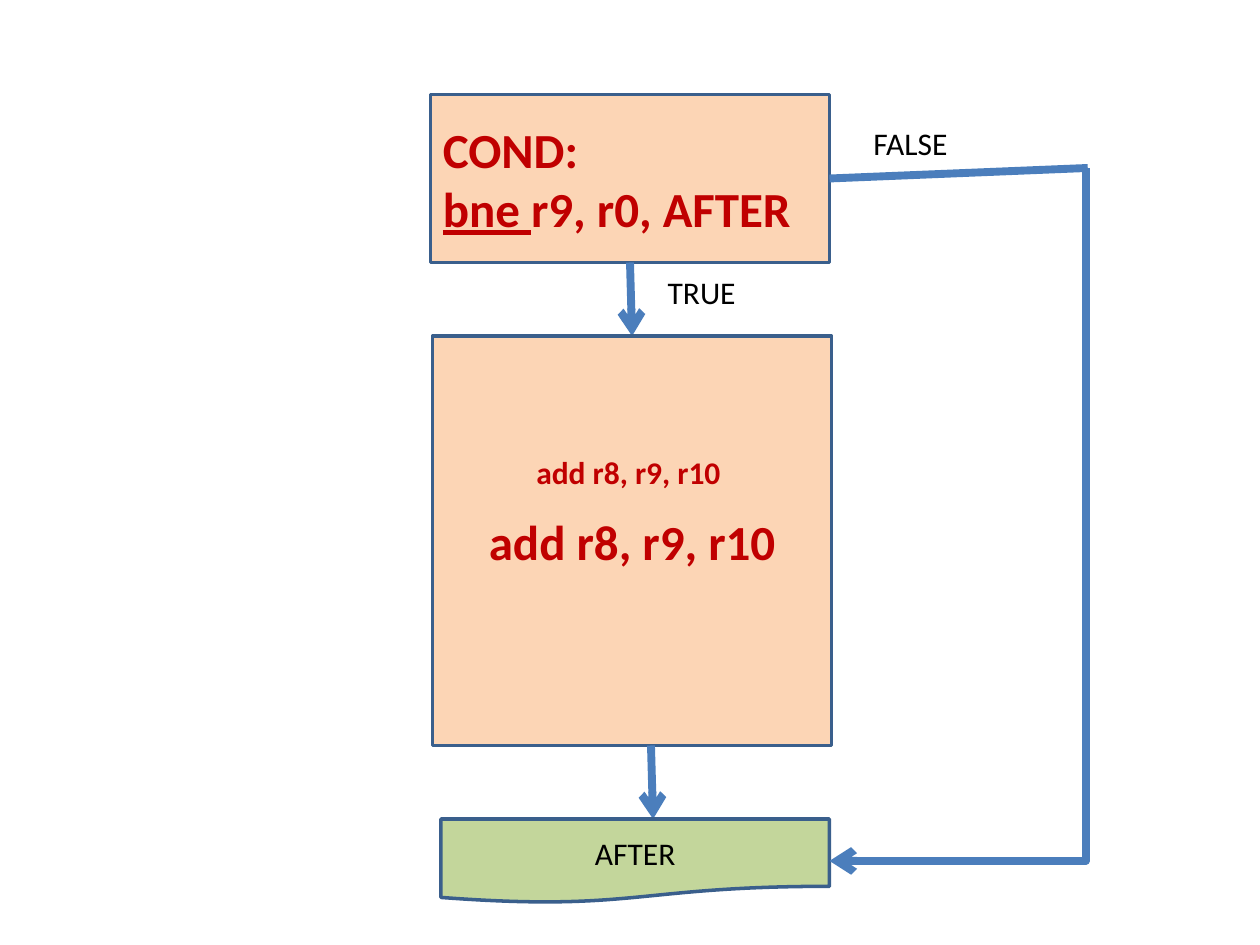
from dataclasses import dataclass

from lxml.etree import SubElement
from pptx import Presentation
from pptx.dml.color import RGBColor
from pptx.enum.shapes import MSO_CONNECTOR, MSO_SHAPE
from pptx.enum.text import MSO_ANCHOR, MSO_AUTO_SIZE, PP_ALIGN
from pptx.oxml.ns import qn
from pptx.util import Pt

EMU_PER_PX = 914400 // 120


@dataclass(frozen=True)
class Theme:
    font: str = "Calibri"
    code_size: int = 28
    label_size: int = 18
    code: str = "C00000"
    label: str = "000000"
    block: str = "FCD5B5"
    target: str = "C3D69B"
    border: str = "3A5F8C"
    flow: str = "4B7EBC"
    border_width: float = 2
    flow_width: float = 4.5


THEME = Theme()


def px(*lengths):
    return [length * EMU_PER_PX for length in lengths]


def write(frame, lines, size=THEME.label_size, color=THEME.label, bold=False,
          align=PP_ALIGN.CENTER):
    """Each line is a list of (text, underlined) runs."""
    for index, line in enumerate(lines):
        paragraph = frame.paragraphs[0] if index == 0 else frame.add_paragraph()
        paragraph.alignment = align
        for text, underlined in line:
            run = paragraph.add_run()
            run.text = text
            run.font.name = THEME.font
            run.font.size = Pt(size)
            run.font.bold = bold
            run.font.underline = underlined
            run.font.color.rgb = RGBColor.from_string(color)


def add_block(slide, box, lines, kind=MSO_SHAPE.RECTANGLE, fill=THEME.block, **style):
    block = slide.shapes.add_shape(kind, *px(*box))
    block.shadow.inherit = False
    block.fill.solid()
    block.fill.fore_color.rgb = RGBColor.from_string(fill)
    block.line.color.rgb = RGBColor.from_string(THEME.border)
    block.line.width = Pt(THEME.border_width)
    block.text_frame.word_wrap = True
    block.text_frame.vertical_anchor = MSO_ANCHOR.MIDDLE
    write(block.text_frame, lines, **style)


def add_label(slide, box, text, **style):
    frame = slide.shapes.add_textbox(*px(*box)).text_frame
    frame.word_wrap = False
    frame.auto_size = MSO_AUTO_SIZE.SHAPE_TO_FIT_TEXT
    write(frame, [[(text, False)]], align=PP_ALIGN.LEFT, **style)


def add_flow(slide, start, end, kind=MSO_CONNECTOR.STRAIGHT, arrow_end=None):
    flow = slide.shapes.add_connector(kind, *px(*start, *end))
    flow.line.color.rgb = RGBColor.from_string(THEME.flow)
    flow.line.width = Pt(THEME.flow_width)
    if arrow_end:
        SubElement(flow.line._get_or_add_ln(), qn(f"a:{arrow_end}"), type="arrow")
    properties = flow._element.spPr
    SubElement(properties, qn("a:effectLst"))
    if kind == MSO_CONNECTOR.ELBOW:
        # Turn only once, at the far side
        guides = properties.find(qn("a:prstGeom")).get_or_add_avLst()
        SubElement(guides, qn("a:gd"), name="adj1", fmla="val 100000")


def add_condition(slide, box):
    left, top, width, height = box
    add_block(slide, box,
              [[("COND:", False)], [("bne ", True), ("r9, r0, AFTER", False)]],
              size=THEME.code_size, color=THEME.code, bold=True, align=PP_ALIGN.LEFT)
    # True branch
    exit_x, bottom = left + width // 2, top + height
    add_flow(slide, (exit_x, bottom), (exit_x + 2, bottom + 70), arrow_end="tailEnd")
    add_label(slide, (left + 214, bottom + 4, 90, 48), "TRUE")


def add_body(slide, box):
    left, top, width, height = box
    code = "add r8, r9, r10"
    add_block(slide, box, [[(code, False)]],
              size=THEME.code_size, color=THEME.code, bold=True)
    add_label(slide, (left + 87, top + 106, 202, 48), code,
              color=THEME.code, bold=True)
    # Fall through to the target
    exit_x, bottom = left + 208, top + height
    add_flow(slide, (exit_x, bottom), (exit_x + 2, bottom + 70), arrow_end="tailEnd")


def add_target(slide, box):
    add_block(slide, box, [[("AFTER", False)]],
              kind=MSO_SHAPE.FLOWCHART_DOCUMENT, fill=THEME.target)


def add_false_branch(slide, box):
    left, top, width, height = box
    right = left + width
    add_flow(slide, (left, top + height), (right, top),
             kind=MSO_CONNECTOR.ELBOW, arrow_end="headEnd")
    add_flow(slide, (left, top + 10), (right + 2, top))
    add_label(slide, (left + 30, top - 48, 95, 48), "FALSE")


def main():
    deck = Presentation()
    deck.slide_width, deck.slide_height = px(1200, 900)
    slide = deck.slides.add_slide(deck.slide_layouts[6])
    add_condition(slide, (410, 90, 380, 160))
    add_body(slide, (412, 320, 380, 390))
    add_target(slide, (420, 780, 370, 80))
    add_false_branch(slide, (790, 160, 244, 660))
    deck.save("out.pptx")


if __name__ == "__main__":
    main()
